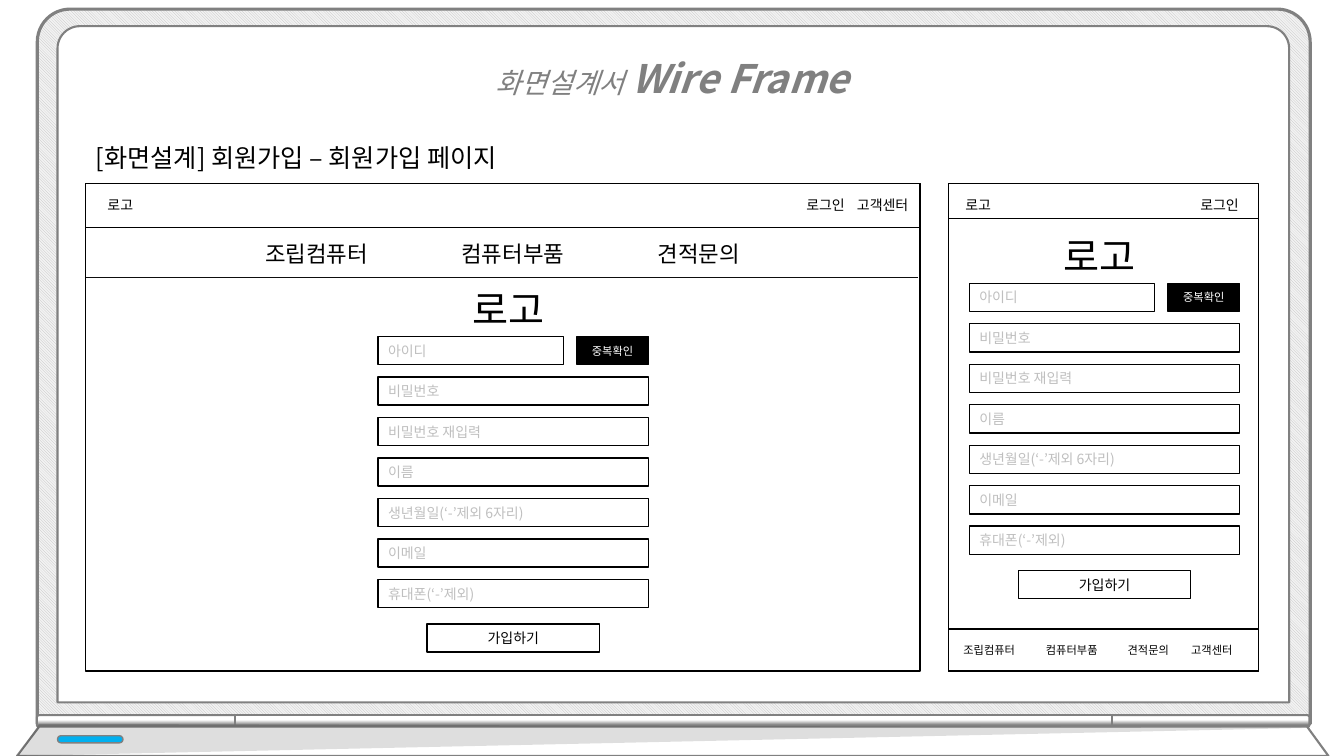
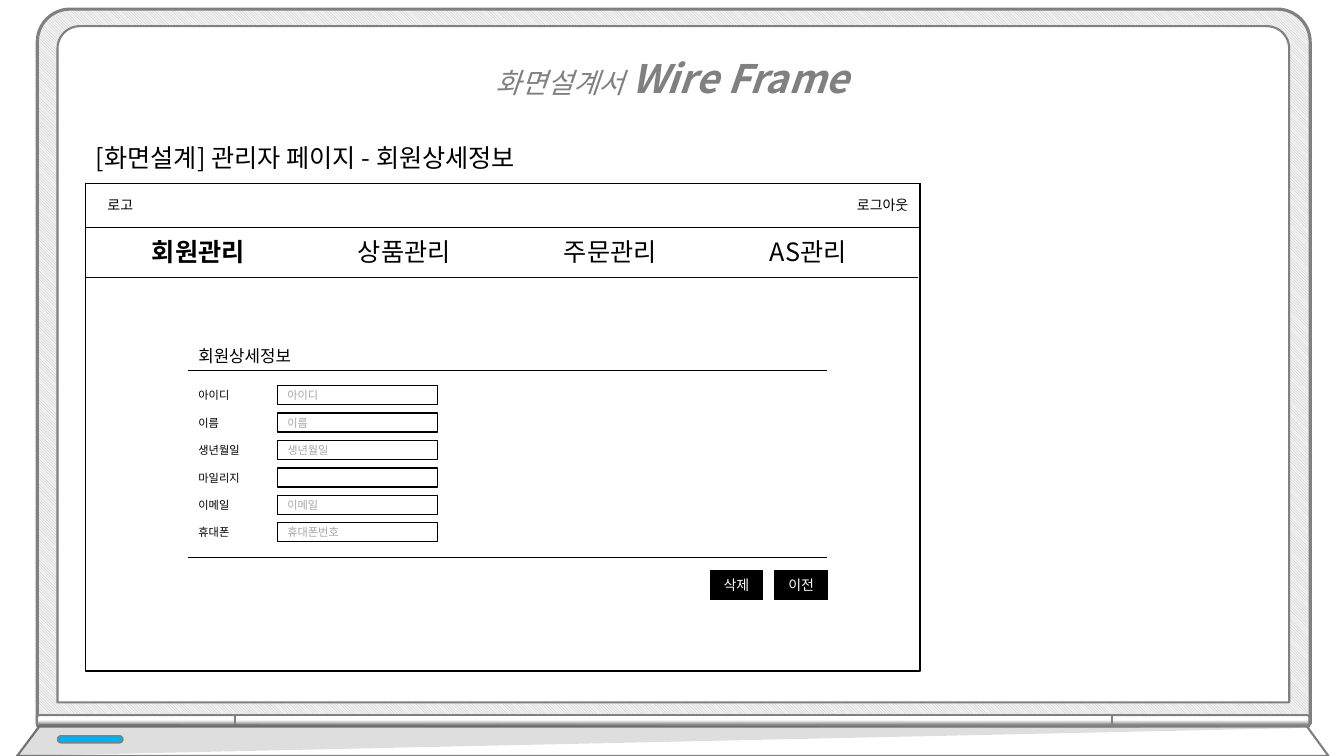
import dataclasses

import lxml.etree
import pptx
import pptx.dml.color
import pptx.enum.dml
import pptx.enum.shapes
import pptx.enum.text
import pptx.oxml.ns
import pptx.util

Cm = pptx.util.Cm
SHAPE = pptx.enum.shapes.MSO_SHAPE
ALIGN = pptx.enum.text.PP_ALIGN
ANCHOR = pptx.enum.text.MSO_ANCHOR


@dataclasses.dataclass(frozen=True)
class Theme:
    font: str = "Noto Sans CJK KR"
    # Colours
    ink: str = "000000"
    nav_rule: str = "0D0D0D"
    paper: str = "FFFFFF"
    frame: str = "808080"
    hatch: str = "BFBFBF"
    hatch_back: str = "F2F2F2"
    hint: str = "BFBFBF"
    detail_hint: str = "A6A6A6"
    light: str = "00B0F0"
    # Type sizes in points
    brand: int = 28
    banner: int = 20
    title: int = 18
    menu: int = 16
    section: int = 12
    body: int = 10
    small: int = 8


THEME = Theme()


@dataclasses.dataclass(frozen=True)
class Box:
    """A rectangle in centimetres."""
    left: float
    top: float
    width: float
    height: float

    def inner(self, left, top, width, height):
        return Box(self.left + left, self.top + top, width, height)

    def lengths(self):
        return [Cm(value) for value in dataclasses.astuple(self)]


SLIDE = Box(0, 0, 33.87, 19.05)
DESKTOP = Box(2.16, 4.62, 21.03, 12.29)
MOBILE = Box(23.9, 4.62, 7.82, 12.29)


# Formatting helpers
def rgb(color):
    return pptx.dml.color.RGBColor.from_string(color)


def assign(target, formats):
    for name, value in formats.items():
        setattr(target, name, value)


def paint(shape, fill=None, line=THEME.ink, weight=1):
    shape.shadow.inherit = False
    if fill:
        shape.fill.solid()
        shape.fill.fore_color.rgb = rgb(fill)
    if line:
        shape.line.color.rgb = rgb(line)
        shape.line.width = pptx.util.Pt(weight)
    else:
        shape.line.fill.background()


def write(frame, spans, align=ALIGN.LEFT, anchor=ANCHOR.TOP, spacing=None):
    """Fill a text frame from (text, size, colour, font formats) tuples."""
    assign(frame, {"word_wrap": True, "vertical_anchor": anchor,
                   "auto_size": pptx.enum.text.MSO_AUTO_SIZE.NONE})
    para = frame.paragraphs[0]
    assign(para, {"alignment": align, "line_spacing": spacing})
    for text, size, color, formats in spans:
        span = para.add_run()
        span.text = text
        assign(span.font, {"name": THEME.font, "size": pptx.util.Pt(size), **formats})
        span.font.color.rgb = rgb(color)
        east_asian = lxml.etree.SubElement(
            span._r.get_or_add_rPr(), pptx.oxml.ns.qn("a:ea"))
        east_asian.set("typeface", THEME.font)


# Basic parts
def add_label(page, box, text, size=THEME.body, align=ALIGN.LEFT, **formats):
    label = page.shapes.add_textbox(*box.lengths())
    write(label.text_frame, [(text, size, THEME.ink, formats)], align)


def add_panel(page, box, fill=THEME.paper):
    panel = page.shapes.add_shape(SHAPE.RECTANGLE, *box.lengths())
    paint(panel, fill)
    return panel


def add_field(page, box, hint, size=THEME.body, color=THEME.hint):
    field = add_panel(page, box)
    if hint:
        write(field.text_frame, [(hint, size, color, {})], anchor=ANCHOR.MIDDLE)


def add_button(page, box, text, size=THEME.body, fill=THEME.ink, color=THEME.paper):
    button = add_panel(page, box, fill)
    write(button.text_frame, [(text, size, color, {})], ALIGN.CENTER, ANCHOR.MIDDLE)


def add_rule(page, left, top, width, color=THEME.ink):
    rule = page.shapes.add_connector(
        pptx.enum.shapes.MSO_CONNECTOR.STRAIGHT,
        Cm(left), Cm(top), Cm(left + width), Cm(top))
    rule.line.color.rgb = rgb(color)
    rule.line.width = pptx.util.Pt(0.5)
    lxml.etree.SubElement(rule.element.spPr, pptx.oxml.ns.qn("a:effectLst"))


# Laptop frame
def add_outline(shapes, points):
    corners = [(Cm(x), Cm(y)) for x, y in points]
    builder = shapes.build_freeform(*corners[0])
    builder.add_line_segments(corners[1:], close=True)
    return builder.convert_to_shape()


def add_hinge(shapes, center, length, rotation, radius, angle):
    thickness, middle = 0.3, 18.17
    box = Box(center - thickness / 2, middle - length / 2, thickness, length)
    hinge = shapes.add_shape(SHAPE.ROUND_2_SAME_RECTANGLE, *box.lengths())
    hinge.rotation = rotation
    hinge.adjustments[0] = radius
    hinge.fill.gradient()
    hinge.fill.gradient_angle = angle
    stops = [(0.17, THEME.frame), (0.59, THEME.paper)]
    for stop, (position, color) in zip(hinge.fill.gradient_stops, stops):
        stop.position = position
        stop.color.rgb = rgb(color)
    paint(hinge, line=THEME.frame, weight=1.5)


def add_laptop(page, box):
    shapes = page.shapes.add_group_shape().shapes

    # Bezel and screen
    bezel = shapes.add_shape(SHAPE.ROUND_2_SAME_RECTANGLE,
                             *box.inner(0.94, 0.23, 32.08, 18.01).lengths())
    bezel.adjustments[0] = 0.046
    bezel.fill.patterned()
    bezel.fill.pattern = pptx.enum.dml.MSO_PATTERN.LIGHT_DOWNWARD_DIAGONAL
    bezel.fill.fore_color.rgb = rgb(THEME.hatch)
    bezel.fill.back_color.rgb = rgb(THEME.hatch_back)
    paint(bezel, line=THEME.frame, weight=2.25)
    screen = shapes.add_shape(SHAPE.ROUND_2_SAME_RECTANGLE,
                              *box.inner(1.45, 0.66, 31.04, 17.04).lengths())
    screen.adjustments[0] = 0.033
    paint(screen, THEME.paper, THEME.frame, 1.5)

    # Hinges: left, right, middle
    for hinge in ((3.43, 5, 270, 0.19, 0), (30.5, 5, 90, 0.19, 180),
                  (16.97, 22.1, 270, 0, 0)):
        add_hinge(shapes, *hinge)

    # Base with its shade and power light
    base = add_outline(shapes, [(0.99, 18.31), (32.94, 18.31),
                                (33.48, 19.05), (0.43, 19.05)])
    paint(base, THEME.paper, THEME.frame, 1.5)
    shade = add_outline(shapes, [(0.99, 18.24), (0.43, 19.05), (33.07, 18.34)])
    paint(shade, THEME.ink, None)
    color = shade.element.spPr.find(".//" + pptx.oxml.ns.qn("a:srgbClr"))
    lxml.etree.SubElement(color, pptx.oxml.ns.qn("a:alpha")).set("val", "13000")
    light = shapes.add_shape(SHAPE.ROUNDED_RECTANGLE,
                             *box.inner(1.45, 18.54, 1.65, 0.18).lengths())
    light.adjustments[0] = 0.5
    paint(light, THEME.light, THEME.frame)


def add_page(deck, heading):
    page = deck.slides.add_slide(deck.slide_layouts.get_by_name("Title Only"))
    add_laptop(page, SLIDE)

    # Banner
    banner = page.shapes.add_textbox(*SLIDE.inner(9.32, 0.64, 15.24, 2.06).lengths())
    write(banner.text_frame,
          [("화면설계서 ", THEME.banner, THEME.frame, {"italic": True}),
           ("Wire Frame", THEME.brand, THEME.frame, {"italic": True, "bold": True})],
          ALIGN.CENTER, spacing=1.5)

    # Title, raised above the laptop
    title = page.shapes.title
    place = SLIDE.inner(2.16, 3.45, 15, 1.02).lengths()
    assign(title, dict(zip(("left", "top", "width", "height"), place)))
    write(title.text_frame, [(heading, THEME.title, THEME.ink, {})])
    title.element.getparent().append(title.element)
    return page


# Screens
def add_header(page, box, left, links):
    """Logo at the left; links as (text, distance from the right edge)."""
    add_label(page, box.inner(left, 0.2, 3, 0.69), "로고")
    for text, right in links:
        add_label(page, box.inner(box.width - right - 3, 0.2, 3, 0.69), text,
                  align=ALIGN.RIGHT)


def add_desktop(page, box, links, menu, start, top, pitch, size, current=None):
    add_panel(page, box)
    add_panel(page, box.inner(0, 0, box.width, 1.12))
    add_header(page, box, 0.3, links)
    add_rule(page, box.left, box.top + 2.36, box.width - 0.05, THEME.nav_rule)
    for index, text in enumerate(menu):
        add_label(page, box.inner(start + index * pitch, top, 4, 1), text, size,
                  bold=text == current)


def add_mobile(page, box):
    add_panel(page, box)
    add_header(page, box, 0.18, [("로그인", 0.25)])
    add_rule(page, box.left, box.top + 0.89, box.width)
    add_panel(page, box.inner(0, 11.23, box.width, 1.06))
    footer = {"조립컴퓨터": 0.13, "컴퓨터부품": 2.21, "견적문의": 4.27, "고객센터": 5.87}
    for text, left in footer.items():
        add_label(page, box.inner(left, 11.46, 2.1, 0.61), text, THEME.small)


def add_signup_form(page, box):
    height, pitch, first = 0.71, 1.02, 1.42
    check_width, join_width = 1.8, 4.34
    add_label(page, box.inner(2.13, 0, 2.57, 1.45), "로고", THEME.brand)
    hints = ["아이디", "비밀번호", "비밀번호 재입력", "이름",
             "생년월일(‘-’제외 6자리)", "이메일", "휴대폰(‘-’제외)"]
    for index, hint in enumerate(hints):
        width = box.width if index else 4.67
        add_field(page, box.inner(0, first + index * pitch, width, height), hint)
    add_button(page, box.inner(box.width - check_width, first, check_width, height),
               "중복확인", THEME.small)
    add_button(page, box.inner((box.width - join_width) / 2, 8.66, join_width, height),
               "가입하기", fill=THEME.paper, color=THEME.ink)


def add_member_details(page, box):
    pitch = 0.69
    add_label(page, box.inner(0, 0, 4, 0.76), "회원상세정보", THEME.section)
    for top in (0.76, 5.46):
        add_rule(page, box.left, box.top + top, box.width)
    rows = [("아이디", "아이디"), ("이름", "이름"), ("생년월일", "생년월일"),
            ("마일리지", ""), ("이메일", "이메일"), ("휴대폰", "휴대폰번호")]
    for index, (name, hint) in enumerate(rows):
        offset = index * pitch
        add_label(page, box.inner(0, 1.09 + offset, 2.2, 0.61), name, THEME.small)
        add_field(page, box.inner(2.24, 1.14 + offset, 4.04, 0.48), hint,
                  THEME.small, THEME.detail_hint)
    for index, text in enumerate(["이전", "삭제"]):
        left = box.width - 1.32 - index * 1.63
        add_button(page, box.inner(left, 5.79, 1.32, 0.74), text)


# Slides
def build_signup(deck):
    page = add_page(deck, "[화면설계] 회원가입 – 회원가입 페이지")
    add_desktop(page, DESKTOP, [("로그인", 1.65), ("고객센터", 0.05)],
                ["조립컴퓨터", "컴퓨터부품", "견적문의"],
                start=4.27, top=1.3, pitch=4.95, size=THEME.menu)
    add_mobile(page, MOBILE)
    add_signup_form(page, DESKTOP.inner(7.37, 2.44, 6.81, 9.37))
    add_signup_form(page, MOBILE.inner(0.53, 1.1, 6.81, 9.37))


def build_member(deck):
    page = add_page(deck, "[화면설계] 관리자 페이지 - 회원상세정보")
    add_desktop(page, DESKTOP, [("로그아웃", 0.05)],
                ["회원관리", "상품관리", "주문관리", "AS관리"],
                start=1.42, top=1.22, pitch=5.19, size=THEME.title, current="회원관리")
    add_member_details(page, DESKTOP.inner(2.59, 3.96, 16.1, 6.53))


def main():
    deck = pptx.Presentation()
    deck.slide_width, deck.slide_height = Cm(SLIDE.width), Cm(SLIDE.height)
    build_signup(deck)
    build_member(deck)
    deck.save("out.pptx")


if __name__ == "__main__":
    main()
